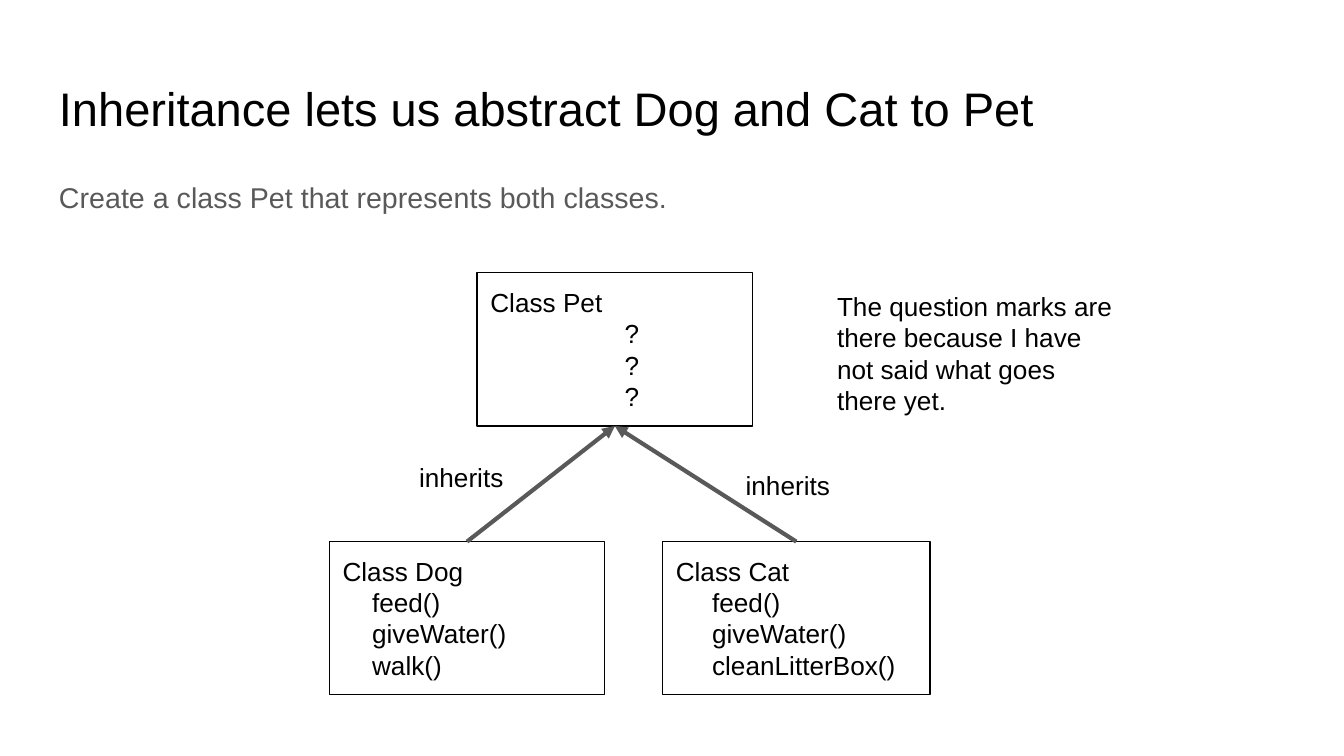
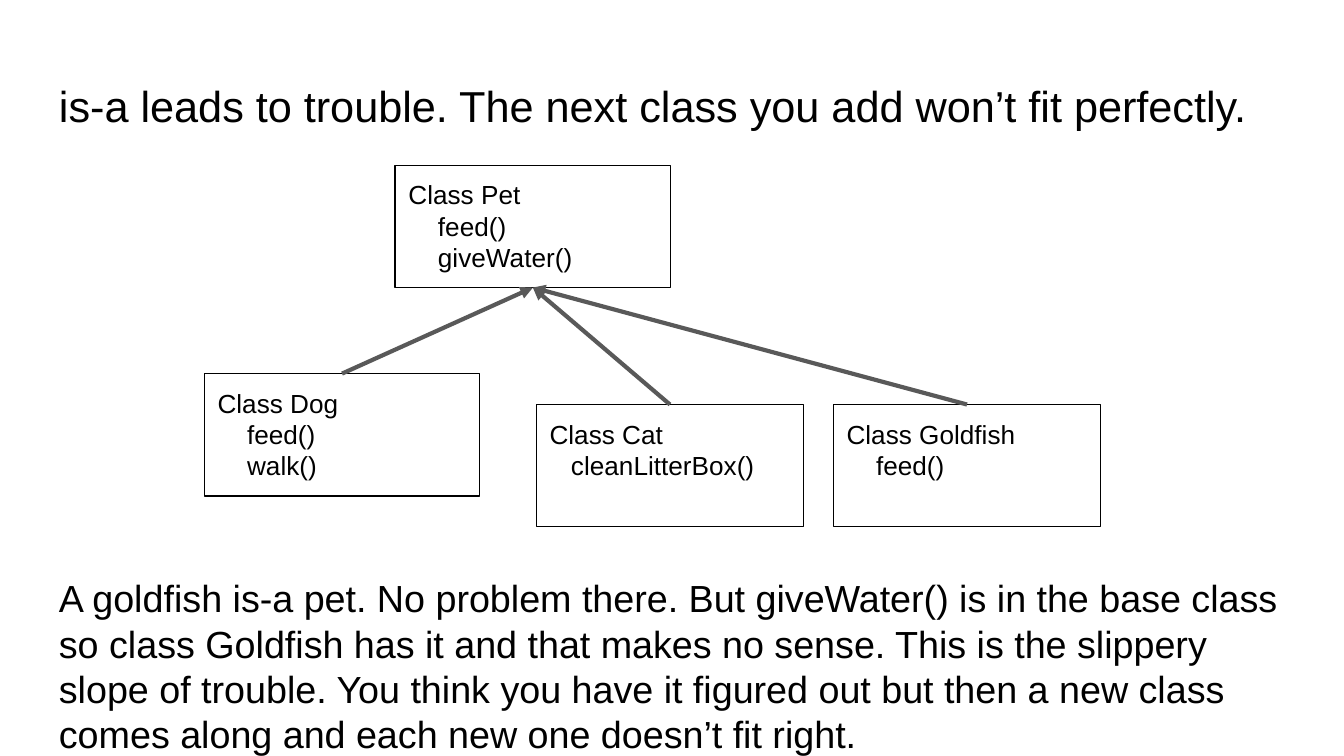
from pptx import Presentation
from pptx import util as u
from pptx.dml.color import RGBColor
from pptx.enum import shapes, text
from pptx.oxml.ns import qn
from lxml import etree

BLACK = RGBColor(0, 0, 0)
GREY = RGBColor(0x59, 0x59, 0x59)
FONT = "Arial"
PAD = u.Inches(0.1)
HEAD = (0.34, 0.49, 9.32, 0.63)
LEAD = (0.34, 1.26, 9.32, 0.63)
FOOT = (0.34, 4.18, 9.32, 0.63)


def place(box):
    return [u.Inches(n) for n in box]


def write(shape, lines, size, color=BLACK, indent=0.0):
    frame = shape.text_frame
    frame.word_wrap = True
    frame.vertical_anchor = text.MSO_ANCHOR.TOP
    frame.margin_left = frame.margin_right = PAD
    frame.margin_top = frame.margin_bottom = PAD
    for i, line in enumerate(lines):
        para = frame.add_paragraph() if i else frame.paragraphs[0]
        para.alignment = text.PP_ALIGN.LEFT
        if i and indent:
            props = para._p.get_or_add_pPr()
            props.set("marL", str(u.Inches(indent)))
            props.set("indent", "0")
        run = para.add_run()
        run.text = line
        run.font.name = FONT
        run.font.size = u.Pt(size)
        run.font.color.rgb = color
    return frame


def add_text(slide, box, words, size=14, color=BLACK):
    return write(slide.shapes.add_textbox(*place(box)), [words], size, color)


def add_class(slide, box, name, rows, indent=0.22):
    rect = slide.shapes.add_shape(shapes.MSO_SHAPE.RECTANGLE, *place(box))
    rect.shadow.inherit = False
    rect.fill.background()
    rect.line.color.rgb = BLACK
    rect.line.width = u.Pt(0.75)
    write(rect, ["Class " + name, *rows], 14, indent=indent)
    return rect


def add_arrow(slide, child, base):
    line = slide.shapes.add_connector(shapes.MSO_CONNECTOR.STRAIGHT, 0, 0, 0, 0)
    line.begin_connect(child, 0)
    line.end_connect(base, 2)
    line.line.color.rgb = GREY
    line.line.width = u.Pt(2.25)
    etree.SubElement(line.line._get_or_add_ln(), qn("a:tailEnd"), type="triangle")
    etree.SubElement(line._element.spPr, qn("a:effectLst"))


def add_tree(slide, base, kids):
    root = add_class(slide, *base)
    for kid in kids:
        add_arrow(slide, add_class(slide, *kid), root)


def add_slide(deck, title, size):
    slide = deck.slides.add_slide(deck.slide_layouts[6])
    add_text(slide, HEAD, title, size)
    return slide


def pet_slide(deck):
    slide = add_slide(deck, "Inheritance lets us abstract Dog and Cat to Pet", 25.2)
    lead = add_text(slide, LEAD, "Create a class Pet that represents both classes.",
                    15.3, GREY)
    lead.paragraphs[0].line_spacing = 0.95
    lead.paragraphs[0].space_after = u.Pt(12)
    add_tree(slide, ((3.55, 2.03, 2.05, 1.14), "Pet", ["?"] * 3, 1.0), [
        ((2.45, 4.03, 2.05, 1.14), "Dog", ["feed()", "giveWater()", "walk()"]),
        ((4.93, 4.03, 1.99, 1.14), "Cat",
         ["feed()", "giveWater()", "cleanLitterBox()"], 0.27),
    ])
    for box in ((5.45, 3.39, 0.96, 0.44), (3.02, 3.33, 1.23, 0.44)):
        add_text(slide, box, "inherits")
    add_text(slide, (6.13, 2.06, 2.26, 1.14),
             "The question marks are there because I have not said "
             "what goes there yet.")


def fish_slide(deck):
    slide = add_slide(
        deck, "is-a leads to trouble. The next class you add won’t fit perfectly.", 23.2)
    add_tree(slide, ((2.94, 1.23, 2.05, 0.91), "Pet", ["feed()", "giveWater()"]), [
        ((1.52, 2.78, 2.05, 0.91), "Dog", ["feed()", "walk()"]),
        ((3.99, 3.01, 1.99, 0.91), "Cat", ["cleanLitterBox()"], 0.16),
        ((6.2, 3.01, 1.99, 0.91), "Goldfish", ["feed()"]),
    ])
    add_text(slide, FOOT,
             "A goldfish is-a pet. No problem there. But giveWater() is in the "
             "base class so class Goldfish has it and that makes no sense. This is "
             "the slippery slope of trouble. You think you have it figured out but "
             "then a new class comes along and each new one doesn’t fit right.", 20.2)


def main():
    deck = Presentation()
    deck.slide_width = u.Inches(10)
    deck.slide_height = deck.slide_width * 9 // 16
    pet_slide(deck)
    fish_slide(deck)
    deck.save("out.pptx")


if __name__ == "__main__":
    main()
